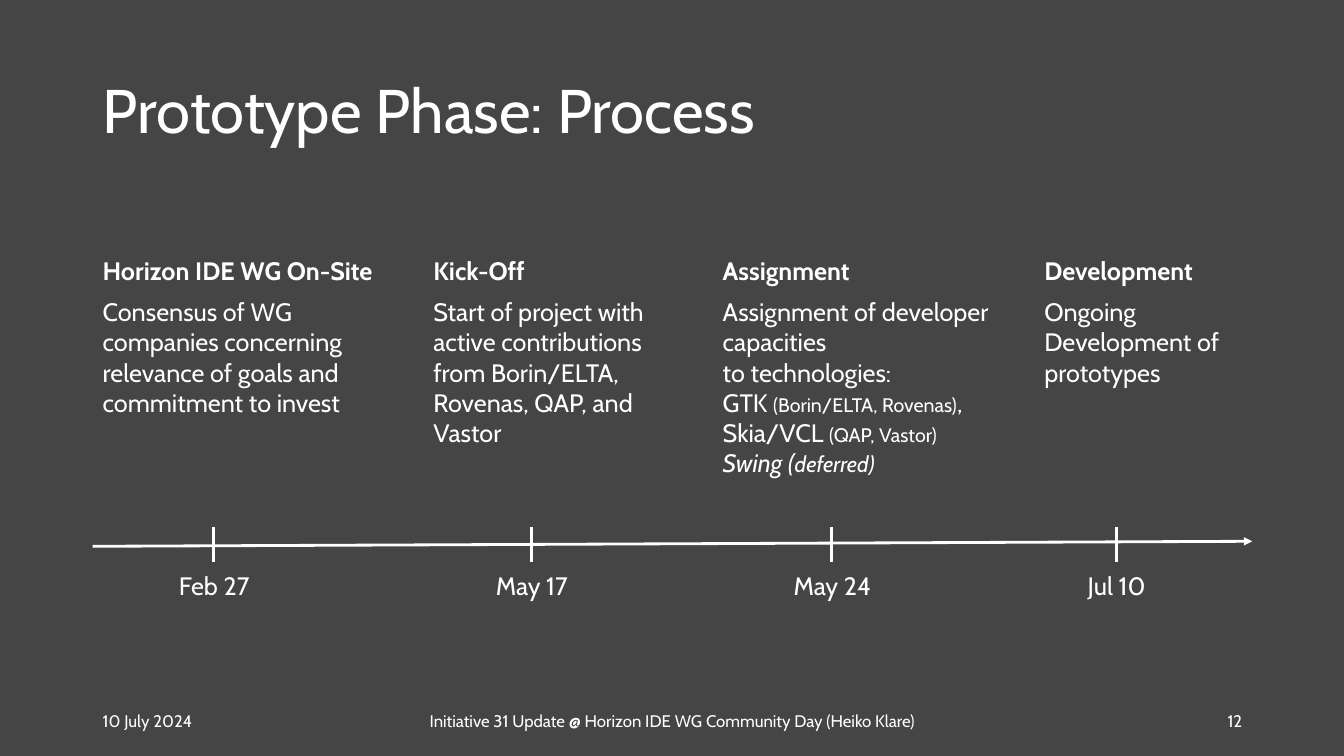
"""Build a slide with a four-step timeline of the prototype phase."""
from lxml import etree
from pptx import Presentation
from pptx.dml.color import RGBColor
from pptx.enum.shapes import MSO_CONNECTOR
from pptx.enum.text import MSO_ANCHOR, MSO_AUTO_SIZE, PP_ALIGN
from pptx.oxml.ns import qn
from pptx.util import Pt

PX = 9144
FONT = "Cabin"
COLORS = {"background": "454545", "foreground": "FFFFFF"}
LEFT, CENTER, RIGHT = PP_ALIGN.LEFT, PP_ALIGN.CENTER, PP_ALIGN.RIGHT
MIDDLE, TOP = MSO_ANCHOR.MIDDLE, MSO_ANCHOR.TOP
FIXED, GROW = MSO_AUTO_SIZE.NONE, MSO_AUTO_SIZE.SHAPE_TO_FIT_TEXT
STRAIGHT = MSO_CONNECTOR.STRAIGHT

FOOTERS = [
    (92, 300, "10 July 2024", LEFT),
    (413, 508, "Initiative 31 Update @ Horizon IDE WG Community Day (Heiko Klare)", CENTER),
    (942, 300, "12", RIGHT),
]
MILESTONES = [
    {"left": 92, "width": 291, "height": 173, "tick": 212,
     "date": "Feb 27", "date_width": 93, "heading": "Horizon IDE WG On-Site",
     "lines": [[("Consensus of WG companies concerning relevance of goals "
                 "and commitment to invest", 18, False)]]},
    {"left": 420, "width": 267, "height": 203, "tick": 527,
     "date": "May 17", "date_width": 97, "heading": "Kick-Off",
     "lines": [[("Start of project with active contributions from Borin/ELTA, "
                 "Rovenas, QAP, and Vastor", 18, False)]]},
    {"left": 707, "width": 286, "height": 233, "tick": 825,
     "date": "May 24", "date_width": 97, "heading": "Assignment",
     "lines": [[("Assignment of developer capacities", 18, False)],
               [("to technologies:", 18, False)],
               [("GTK ", 18, False), ("(Borin/ELTA, Rovenas)", 14, False), (",", 18, False)],
               [("Skia/VCL ", 18, False), ("(QAP, Vastor)", 14, False)],
               [("Swing (", 18, True), ("deferred)", 16, True)]]},
    {"left": 1026, "width": 217, "height": 142, "tick": 1107,
     "date": "Jul 10", "date_width": 81, "heading": "Development",
     "lines": [[("Ongoing Development of prototypes", 18, False)]]},
]


def color(name):
    """Return a named colour as RGB."""
    return RGBColor.from_string(COLORS[name])


def style_run(r, size, bold=False, italic=False):
    """Format one run in the slide's font and colour."""
    r.font.name = FONT
    r.font.size = Pt(size)
    r.font.bold = bold
    r.font.italic = italic
    r.font.color.rgb = color("foreground")


def place(shape, left, top, width, height):
    """Move and size a shape in px."""
    shape.left, shape.top = left * PX, top * PX
    shape.width, shape.height = width * PX, height * PX


def add_title(s, text):
    """Fill the title placeholder."""
    title = s.shapes.title
    place(title, 92, 40, 1150, 145)
    tf = title.text_frame
    tf.text = text
    tf.auto_size = FIXED
    tf.vertical_anchor = MIDDLE
    p = tf.paragraphs[0]
    p.alignment = LEFT
    p.line_spacing = 0.9
    style_run(p.runs[0], 44)


def add_text(s, box, text, size, align=LEFT, anchor=TOP, wrap=True, fit=GROW, bold=False):
    """Add a one-paragraph text box and return its text frame."""
    tf = s.shapes.add_textbox(*(v * PX for v in box)).text_frame
    tf.text = text
    tf.word_wrap = wrap
    tf.auto_size = fit
    tf.vertical_anchor = anchor
    p = tf.paragraphs[0]
    p.alignment = align
    style_run(p.runs[0], size, bold)
    return tf


def add_line(s, x1, y1, x2, y2, arrow=False):
    """Add a straight line, with an arrowhead at its end if asked."""
    line = s.shapes.add_connector(STRAIGHT, x1 * PX, y1 * PX, x2 * PX, y2 * PX)
    line.line.color.rgb = color("foreground")
    line.line.width = Pt(2)
    if arrow:
        etree.SubElement(line.line._get_or_add_ln(), qn("a:tailEnd"), type="triangle")
    etree.SubElement(line._element.spPr, qn("a:effectLst"))


def add_description(s, milestone):
    """Add a milestone's heading and the lines below it."""
    box = milestone["left"], 248, milestone["width"], milestone["height"]
    tf = add_text(s, box, milestone["heading"], 18, bold=True)
    tf.paragraphs[0].space_after = Pt(8)
    p = tf.add_paragraph()
    for i, parts in enumerate(milestone["lines"]):
        if i:
            p.add_line_break()
        for text, size, italic in parts:
            r = p.add_run()
            r.text = text
            style_run(r, size, italic=italic)


def add_date(s, milestone):
    """Add a milestone's tick with its date centred below."""
    x, width = milestone["tick"], milestone["date_width"]
    add_line(s, x, 523, x, 558)
    add_text(s, (x - width // 2, 561, width, 40), milestone["date"], 18, CENTER, wrap=False)


def main():
    """Build and save the slide."""
    prs = Presentation()
    prs.slide_width, prs.slide_height = 1333 * PX, 750 * PX
    s = prs.slides.add_slide(prs.slide_layouts[5])
    s.background.fill.solid()
    s.background.fill.fore_color.rgb = color("background")
    add_title(s, "Prototype Phase: Process")
    for left, width, text, align in FOOTERS:
        add_text(s, (left, 695, width, 40), text, 12, align, MIDDLE, fit=FIXED)
    add_line(s, 92, 542, 1242, 537, arrow=True)
    for milestone in MILESTONES:
        add_description(s, milestone)
        add_date(s, milestone)
    prs.save("out.pptx")


if __name__ == "__main__":
    main()
